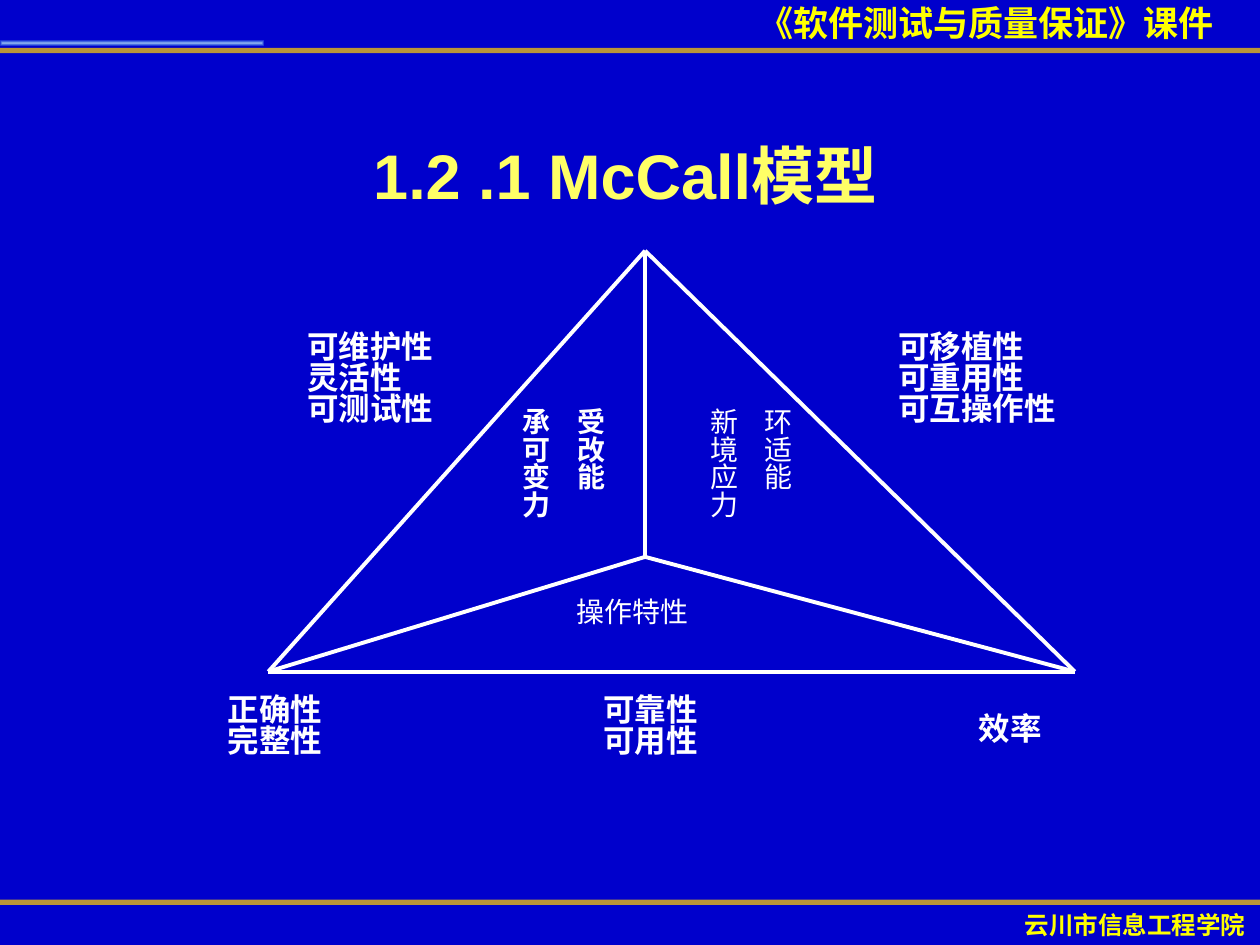
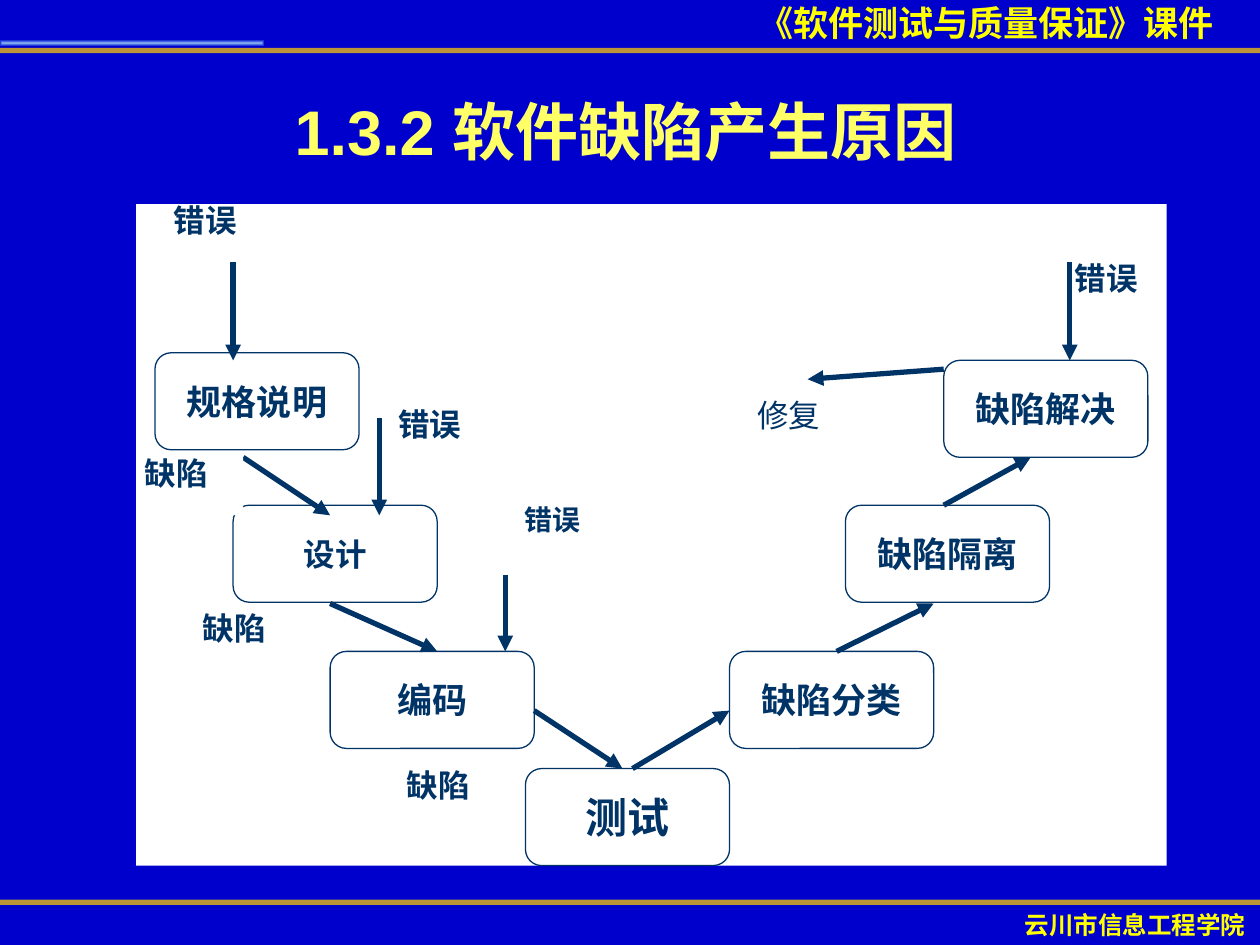
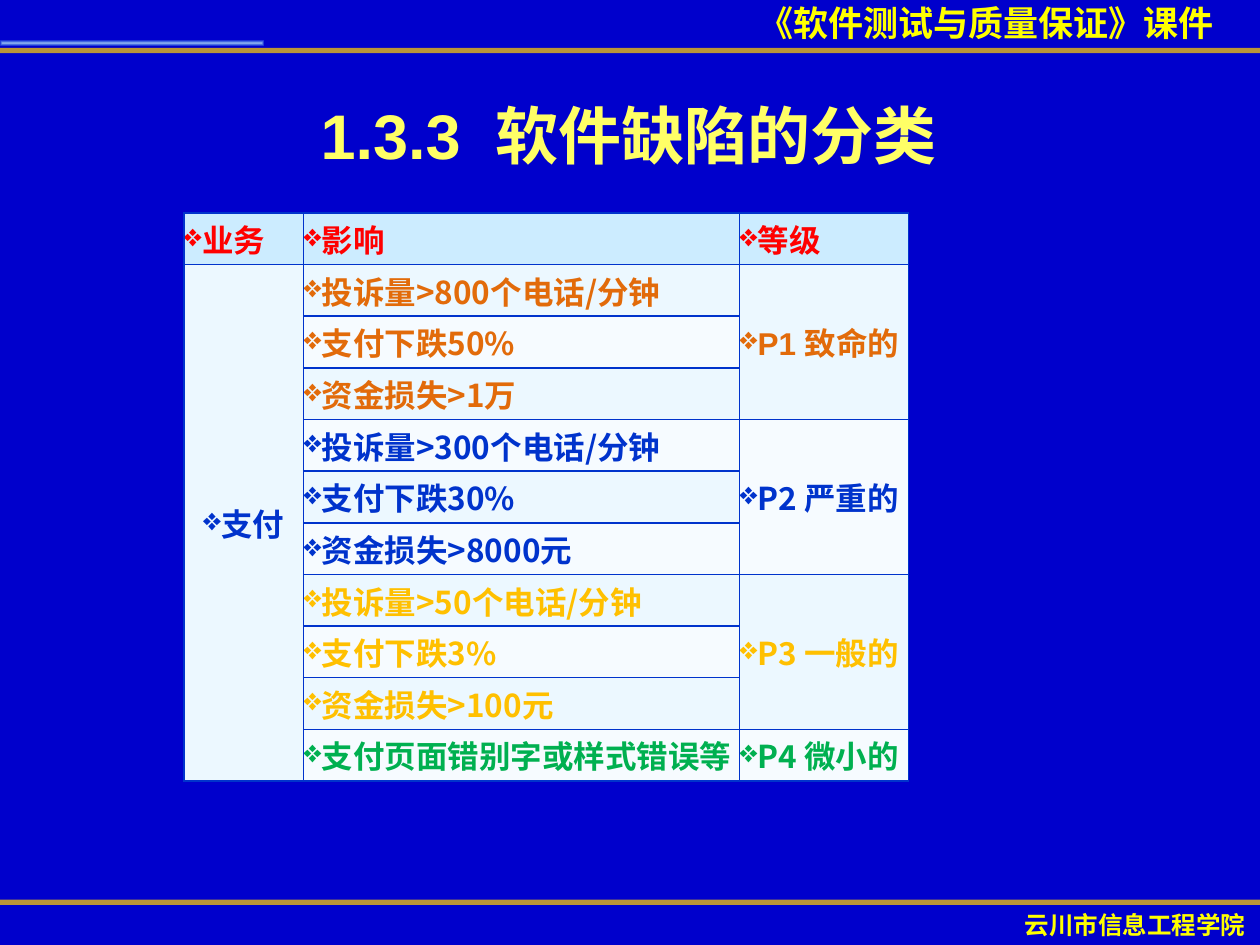
from dataclasses import dataclass
from itertools import combinations

from lxml.etree import SubElement
from pptx import Presentation
from pptx.dml.color import RGBColor
from pptx.enum.shapes import MSO_CONNECTOR as Connector, MSO_SHAPE as Shape
from pptx.enum.text import MSO_ANCHOR as Anchor, PP_ALIGN as Align
from pptx.oxml.ns import qn
from pptx.util import Inches, Pt


@dataclass(frozen=True)
class Theme:
    background: str = "0000CC"
    rule: str = "FFCC00"
    glow_inner: str = "C3EBFF"
    glow_outer: str = "66CCFF"
    banner: str = "FFFF00"
    title: str = "FFFF66"
    white: str = "FFFFFF"
    navy: str = "003366"
    border: str = "0033CC"
    head_fill: str = "CCECFF"
    band_fills: tuple = ("F6FBFF", "ECF8FF")
    head: str = "FF0000"
    fatal: str = "E26B0A"
    serious: str = "0033CC"
    normal: str = "FFC000"
    minor: str = "00B050"
    sans: str = "Arial"
    serif: str = "Times New Roman"
    chinese: str = "Noto Sans CJK SC"
    title_size: int = 36
    large_size: int = 24
    box_size: int = 20
    label_size: int = 18
    small_size: int = 16
    footer_size: int = 14
    tight: float = 0.82
    snug: float = 0.9


THEME = Theme()
TEXT_INSETS = (0.1, 0.05)
BOX_INSETS = (0.07, 0.03)


def rgb(value):
    return RGBColor.from_string(value)


def add_alpha(element, percent):
    for color in element.iter(qn("a:srgbClr")):
        SubElement(color, qn("a:alpha"), val=str(percent * 1000))


def write(frame, text, size=THEME.label_size, color=THEME.white, font=THEME.serif,
          bold=True, align=Align.JUSTIFY, spacing=None, bullet=None):
    frame.word_wrap = True
    for index, line in enumerate(text.split("\n")):
        paragraph = frame.add_paragraph() if index else frame.paragraphs[0]
        paragraph.alignment = align
        if spacing:
            paragraph.line_spacing = spacing
        if bullet:
            properties = paragraph._p.get_or_add_pPr()
            properties.set("marL", "0")
            properties.set("indent", "0")
            SubElement(properties, qn("a:buChar"), char=bullet)
        run = paragraph.add_run()
        run.text = line
        run.font.name = font
        run.font.size = Pt(size)
        run.font.bold = bold
        run.font.color.rgb = rgb(color)
        SubElement(run._r.get_or_add_rPr(), qn("a:ea"), typeface=THEME.chinese)


def set_insets(frame, insets):
    frame.margin_left = frame.margin_right = Inches(insets[0])
    frame.margin_top = frame.margin_bottom = Inches(insets[1])


class Deck:
    def __init__(self, theme):
        self.theme = theme
        self.presentation = Presentation()
        self.presentation.slide_width = Inches(10)
        self.presentation.slide_height = Inches(7.5)
        fill = self.presentation.slide_master.background.fill
        fill.solid()
        fill.fore_color.rgb = rgb(theme.background)
        self.slide = None

    def new_slide(self):
        layout = self.presentation.slide_layouts[6]
        self.slide = self.presentation.slides.add_slide(layout)
        for y in (0.4, 7.16):
            rule = self.line((0, y), (10, y), self.theme.rule, 3)
            add_alpha(rule._element, 72)
        self.glow(0, 0.32, 2.09, 0.04)
        banner = dict(color=self.theme.banner, font=self.theme.sans, spacing=self.theme.snug)
        self.text("《软件测试与质量保证》课件", 5.92, 0, 5.15, 0.43,
                  size=self.theme.box_size, align=Align.LEFT, **banner)
        self.text("云川市信息工程学院", 7.83, 7.2, 2.36, 0.34,
                  size=self.theme.footer_size, align=Align.CENTER, **banner)

    def title(self, text, left, top, height):
        self.text(text, left, top, 9.34, height, anchor=Anchor.MIDDLE,
                  size=self.theme.title_size, color=self.theme.title,
                  font=self.theme.sans, align=Align.CENTER)

    def text(self, text, left, top, width, height, anchor=Anchor.TOP, **style):
        box = self.slide.shapes.add_textbox(*map(Inches, (left, top, width, height)))
        set_insets(box.text_frame, TEXT_INSETS)
        box.text_frame.vertical_anchor = anchor
        write(box.text_frame, text, **style)

    def box(self, left, top, width, height, text=None, kind=Shape.RECTANGLE,
            border=None, anchor=Anchor.TOP, **style):
        shape = self.slide.shapes.add_shape(kind, *map(Inches, (left, top, width, height)))
        shape.shadow.inherit = False
        shape.fill.solid()
        shape.fill.fore_color.rgb = rgb(self.theme.white)
        if border:
            shape.line.color.rgb = rgb(border)
            shape.line.width = Pt(0.75)
        else:
            shape.line.fill.background()
        if text:
            set_insets(shape.text_frame, BOX_INSETS)
            shape.text_frame.vertical_anchor = anchor
            write(shape.text_frame, text, color=self.theme.navy, **style)
        return shape

    def glow(self, left, top, width, height):
        shape = self.box(left, top, width, height)
        shape.fill.gradient()
        colors = ((self.theme.glow_inner, 82), (self.theme.glow_outer, 18))
        for stop, (color, alpha) in zip(shape.fill.gradient_stops, colors):
            stop.color.rgb = rgb(color)
            add_alpha(stop._gs, alpha)
        gradient = shape._element.spPr.find(qn("a:gradFill"))
        gradient.remove(gradient.find(qn("a:lin")))
        route = SubElement(gradient, qn("a:path"), {"path": "shape"})
        SubElement(route, qn("a:fillToRect"), dict.fromkeys("ltrb", "50000"))

    def line(self, start, end, color, width, arrow=False):
        connector = self.slide.shapes.add_connector(
            Connector.STRAIGHT, *map(Inches, (*start, *end)))
        connector.line.color.rgb = rgb(color)
        connector.line.width = Pt(width)
        if arrow:
            SubElement(connector.line._get_or_add_ln(), qn("a:tailEnd"), type="triangle")
        SubElement(connector._element.spPr, qn("a:effectLst"))
        return connector

    def table(self, left, top, widths, row_height, row_count):
        frame = self.slide.shapes.add_table(
            row_count, len(widths), Inches(left), Inches(top),
            Inches(sum(widths)), Inches(row_height * row_count))
        table = frame.table
        table.first_row = table.horz_banding = False
        for column, width in zip(table.columns, widths):
            column.width = Inches(width)
        for row_index, row in enumerate(table.rows):
            row.height = Inches(row_height)
            for cell in row.cells:
                self.cell_style(cell, row_index)
        return table

    def cell_style(self, cell, row_index):
        set_insets(cell, (0, 0))
        cell.vertical_anchor = Anchor.MIDDLE
        properties = cell._tc.get_or_add_tcPr()
        for side in ("a:lnL", "a:lnR", "a:lnT", "a:lnB"):
            border = SubElement(properties, qn(side), w=str(Pt(1)))
            fill = SubElement(border, qn("a:solidFill"))
            SubElement(fill, qn("a:srgbClr"), val=self.theme.border)
        cell.fill.solid()
        bands = self.theme.band_fills
        cell.fill.fore_color.rgb = rgb(bands[row_index % 2] if row_index else self.theme.head_fill)


def mccall_slide(deck):
    theme = deck.theme
    deck.new_slide()
    deck.title("1.2 .1 McCall模型 ", 0.35, 0.76, 1.25)
    factors = (
        ("正确性\n完整性", 1.71, 5.48, 1.28, 0.76),
        ("可靠性\n可用性", 4.69, 5.48, 1.49, 0.76),
        ("效率", 7.67, 5.63, 1.28, 0.45),
        ("可维护性\n灵活性\n可测试性", 2.34, 2.6, 1.49, 1.36),
        ("可移植性\n可重用性\n可互操作性", 7.03, 2.6, 1.71, 1.52),
    )
    for factor in factors:
        deck.text(*factor, spacing=theme.tight)
    faces = (
        ("承受可改变能力", 4.05, 3.21, 0.85, 1.37, True),
        ("新环境适应能力", 5.54, 3.21, 0.85, 1.37, False),
        ("操作特性", 4.48, 4.72, 1.49, 0.45, False),
    )
    for *face, bold in faces:
        deck.text(*face, size=theme.small_size, bold=bold, spacing=theme.tight)
    corners = ((5.12, 1.99), (2.13, 5.33), (8.53, 5.33), (5.12, 4.42))
    for start, end in combinations(corners, 2):
        deck.line(start, end, theme.white, 2.25)


def defect_flow_slide(deck):
    theme = deck.theme
    deck.new_slide()
    deck.box(1.08, 1.62, 8.18, 5.25)
    stages = (
        ("规格说明", 1.23, 2.8, theme.box_size),
        ("设计", 1.85, 4.01, theme.label_size),
        ("编码", 2.62, 5.17, theme.box_size),
        ("测试", 4.17, 6.1, theme.large_size),
        ("缺陷分类", 5.79, 5.17, theme.box_size),
        ("缺陷隔离", 6.71, 4.01, theme.box_size),
        ("缺陷解决", 7.49, 2.86, theme.box_size),
    )
    for name, left, top, size in stages:
        deck.box(left, top, 1.62, 0.77, name, kind=Shape.ROUNDED_RECTANGLE,
                 border=theme.navy, anchor=Anchor.MIDDLE, size=size, align=Align.CENTER)
    errors = (
        (1.31, 1.62, 0.85, theme.label_size),
        (3.09, 3.24, 0.85, theme.label_size),
        (4.09, 4.01, 0.62, theme.small_size),
        (8.46, 2.08, 0.65, theme.label_size),
    )
    for left, top, width, size in errors:
        deck.box(left, top, width, 0.46, "错误", size=size, spacing=theme.tight)
    arrows = (
        ((1.93, 3.63), (2.62, 4.09)),
        ((2.62, 4.79), (3.47, 5.17)),
        ((4.24, 5.64), (4.94, 6.1)),
        ((5.02, 6.1), (5.79, 5.64)),
        ((6.64, 5.17), (7.41, 4.79)),
        ((7.49, 4.01), (8.18, 3.63)),
        ((4.01, 4.56), (4.01, 5.17)),
        ((3.01, 3.32), (3.01, 4.09)),
        ((1.85, 2.08), (1.85, 2.86)),
        ((7.49, 2.93), (6.41, 3.01)),
        ((8.49, 2.08), (8.49, 2.86)),
    )
    for start, end in arrows:
        deck.line(start, end, theme.navy, 3, arrow=True)
    deck.box(5.94, 3.17, 0.85, 0.46, "修复", bold=False, spacing=theme.tight)
    for left, top in ((1.08, 3.63), (1.54, 4.86), (3.16, 6.1)):
        deck.box(left, top, 0.85, 0.46, "缺陷", spacing=theme.tight)
    deck.title("1.3.2 软件缺陷产生原因 ", 0.35, 0.52, 1.02)


def defect_levels_slide(deck):
    theme = deck.theme
    deck.new_slide()
    deck.title("1.3.3  软件缺陷的分类", 0.32, 0.44, 1.25)
    levels = (
        ("P1 致命的", theme.fatal, theme.sans,
         ("投诉量>800个电话/分钟", "支付下跌50%", "资金损失>1万")),
        ("P2 严重的", theme.serious, theme.chinese,
         ("投诉量>300个电话/分钟", "支付下跌30%", "资金损失>8000元")),
        ("P3 一般的", theme.normal, theme.chinese,
         ("投诉量>50个电话/分钟", "支付下跌3%", "资金损失>100元")),
        ("P4 微小的", theme.minor, theme.chinese, ("支付页面错别字或样式错误等",)),
    )
    row_count = 1 + sum(len(impacts) for *_, impacts in levels)
    table = deck.table(1.46, 1.69, (0.95, 3.46, 1.34), 0.41, row_count)

    def put(row, column, text, color, font=theme.chinese, align=Align.LEFT):
        write(table.cell(row, column).text_frame, text, color=color, font=font,
              align=align, bullet="❖")

    for column, heading in enumerate(("业务", "影响", "等级")):
        put(0, column, heading, theme.head)
    table.cell(1, 0).merge(table.cell(row_count - 1, 0))
    put(1, 0, "支付", theme.serious, align=Align.CENTER)
    row = 1
    for level, color, font, impacts in levels:
        if len(impacts) > 1:
            table.cell(row, 2).merge(table.cell(row + len(impacts) - 1, 2))
        put(row, 2, level, color, font)
        for offset, impact in enumerate(impacts):
            put(row + offset, 1, impact, color)
        row += len(impacts)


def main():
    deck = Deck(THEME)
    mccall_slide(deck)
    defect_flow_slide(deck)
    defect_levels_slide(deck)
    deck.presentation.save("out.pptx")


if __name__ == "__main__":
    main()
